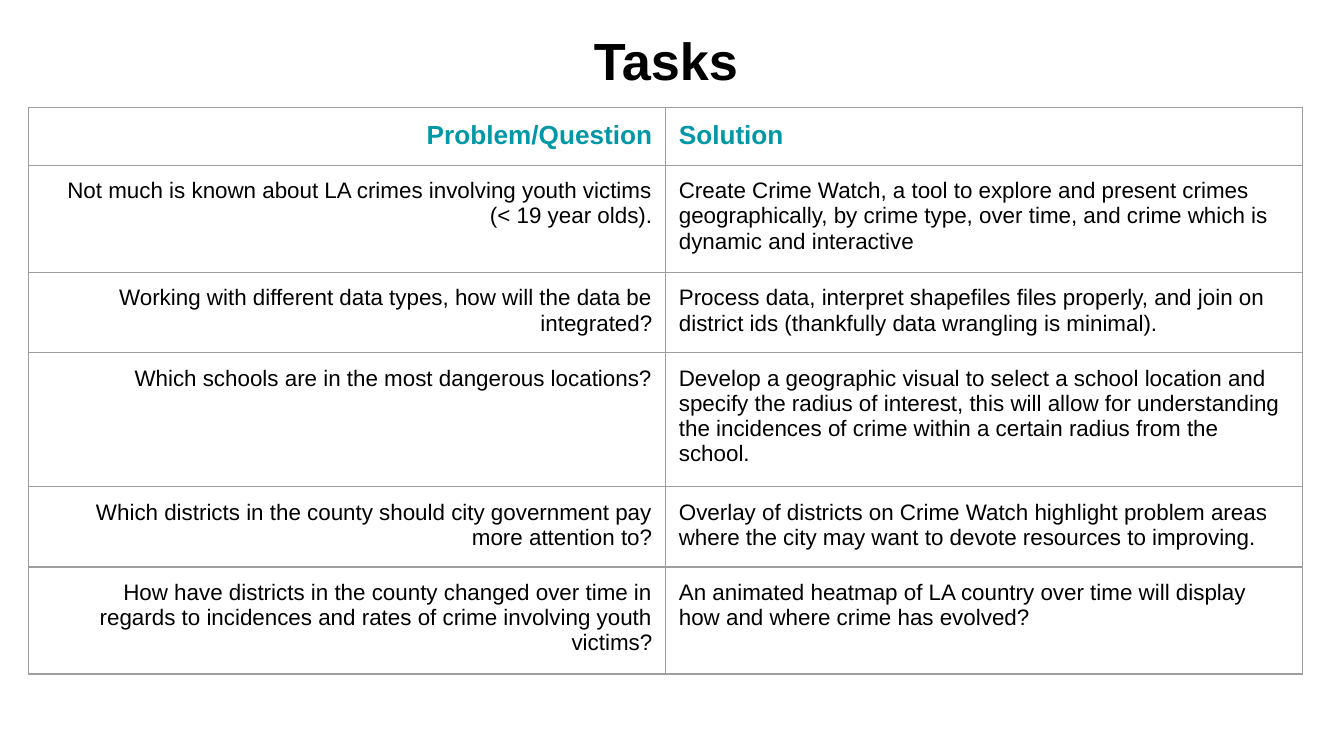
"""Build the Tasks slide: a title over a table of problems and solutions."""
from lxml import etree
from pptx import Presentation
from pptx import util as u
from pptx.dml.color import RGBColor
from pptx.enum import text
from pptx.oxml.ns import qn

BLACK = RGBColor(0x00, 0x00, 0x00)
TEAL = RGBColor(0x00, 0x97, 0xA7)
GREY = RGBColor(0x9E, 0x9E, 0x9E)
ALIGN = text.PP_ALIGN
INSET = u.Cm(0.25)

HEADINGS = ("Problem/Question", "Solution")
TASKS = [
    ("Not much is known about LA crimes involving youth victims (< 19 year olds).",
     "Create Crime Watch, a tool to explore and present crimes geographically, "
     "by crime type, over time, and crime which is dynamic and interactive"),
    ("Working with different data types, how will the data be integrated?",
     "Process data, interpret shapefiles files properly, and join on district ids "
     "(thankfully data wrangling is minimal)."),
    ("Which schools are in the most dangerous locations?",
     "Develop a geographic visual to select a school location and specify the radius "
     "of interest, this will allow for understanding the incidences of crime within "
     "a certain radius from the school."),
    ("Which districts in the county should city government pay more attention to?",
     "Overlay of districts on Crime Watch highlight problem areas where the city "
     "may want to devote resources to improving."),
    ("How have districts in the county changed over time in regards to incidences "
     "and rates of crime involving youth victims?",
     "An animated heatmap of LA country over time will display how and where crime "
     "has evolved?"),
]


def write(frame, words, size=12, color=BLACK, bold=False, align=ALIGN.LEFT, font="Arial"):
    frame.word_wrap = True
    para = frame.paragraphs[0]
    para.alignment = align
    span = para.add_run()
    span.text = words
    span.font.name = font
    span.font.size = u.Pt(size)
    span.font.bold = bold
    span.font.color.rgb = color


def set_margins(holder):
    for side in ("left", "top", "right", "bottom"):
        setattr(holder, f"margin_{side}", INSET)


def outline(cell, color=GREY, width=0.75):
    properties = cell._tc.get_or_add_tcPr()
    for position, side in enumerate(("lnL", "lnR", "lnT", "lnB")):
        line = etree.Element(qn(f"a:{side}"), w=str(u.Pt(width)))
        fill = etree.SubElement(line, qn("a:solidFill"))
        etree.SubElement(fill, qn("a:srgbClr"), val=str(color))
        properties.insert(position, line)


class TaskSlide:
    def __init__(self, deck):
        self.page = deck.slides.add_slide(deck.slide_layouts[6])
        self.heading = {"size": 14, "color": TEAL, "bold": True}
        self.body = {"size": 12, "color": BLACK}

    def title(self, words, left, top, width, height):
        box = self.page.shapes.add_textbox(left, top, width, height)
        set_margins(box.text_frame)
        write(box.text_frame, words, size=28, bold=True, align=ALIGN.CENTER)

    def table(self, rows, left, top, column_width, row_height, frame_size):
        columns = len(rows[0])
        holder = self.page.shapes.add_table(
            len(rows), columns, left, top, column_width * columns, row_height * len(rows)
        )
        holder.width = holder.height = frame_size
        table = holder.table
        table.first_row = table.horz_banding = False
        for row_index, row in enumerate(rows):
            style = self.body if row_index else self.heading
            for column_index, words in enumerate(row):
                cell = table.cell(row_index, column_index)
                set_margins(cell)
                cell.fill.background()
                outline(cell)
                align = ALIGN.LEFT if column_index else ALIGN.RIGHT
                write(cell.text_frame, words, align=align, **style)


def main():
    deck = Presentation()
    deck.slide_width, deck.slide_height = u.Cm(25.4), u.Cm(14.29)
    tasks = TaskSlide(deck)
    tasks.title("Tasks", u.Cm(0.75), u.Cm(0.28), u.Cm(23.67), u.Cm(1.6))
    tasks.table([HEADINGS, *TASKS], u.Cm(0.54), u.Cm(2.03), u.Cm(12.04),
                row_height=u.Cm(1.06), frame_size=u.Cm(8.33))
    deck.save("out.pptx")


if __name__ == "__main__":
    main()
